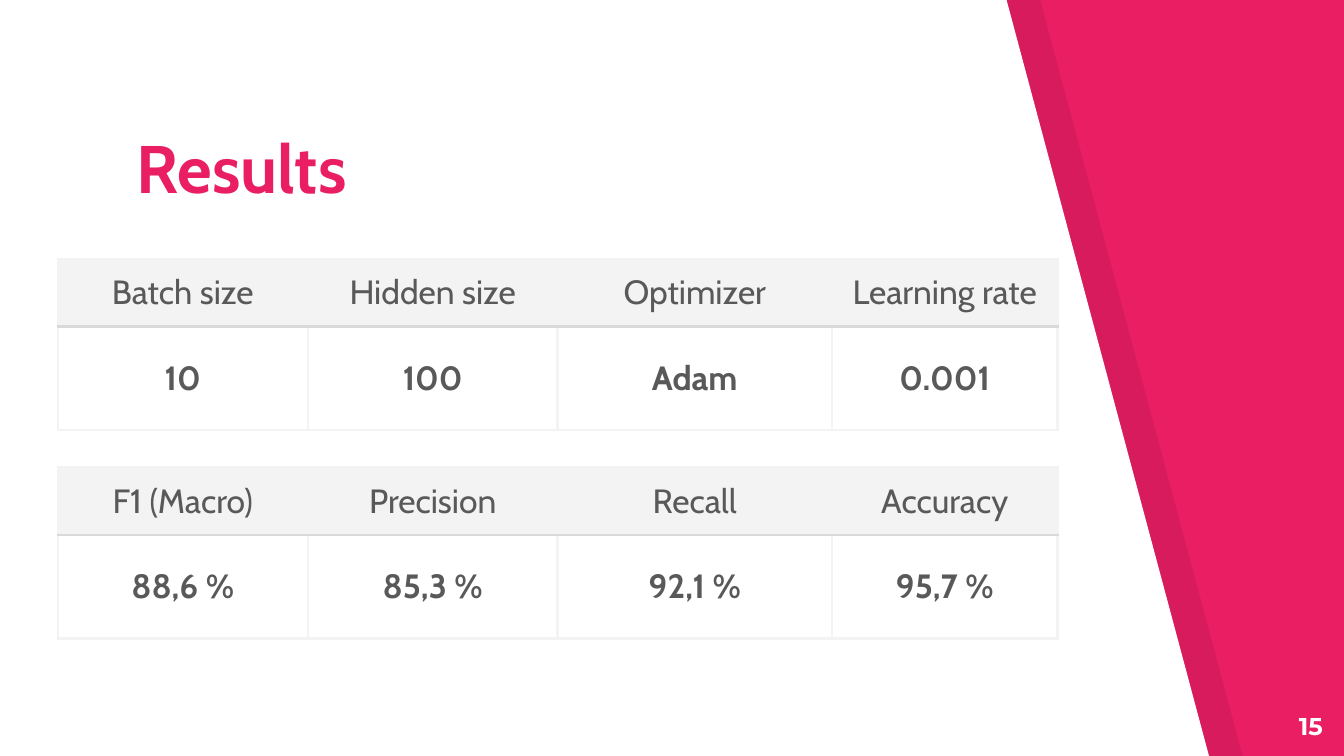
import pptx
import pptx.util
import pptx.dml.color
import pptx.enum.text
import pptx.oxml.ns
import lxml.etree

Inches = pptx.util.Inches
Pt = pptx.util.Pt
PP_ALIGN = pptx.enum.text.PP_ALIGN
MSO_ANCHOR = pptx.enum.text.MSO_ANCHOR

COLORS = {
    "pink": "E91E63",
    "white": "FFFFFF",
    "black": "000000",
    "text": "595959",
    "light": "F3F3F3",
    "rule": "D9D9D9",
}


def add_run(paragraph, text, size, color, font="Cabin", bold=False):
    run = paragraph.add_run()
    run.text = text
    run.font.name = font
    run.font.size = Pt(size)
    run.font.bold = bold
    run.font.color.rgb = pptx.dml.color.RGBColor.from_string(COLORS[color])


def add_border(cell, side, color):
    properties = cell._tc.get_or_add_tcPr()
    line = lxml.etree.SubElement(properties, pptx.oxml.ns.qn("a:ln" + side), w=str(Pt(1.5)))
    fill = lxml.etree.SubElement(line, pptx.oxml.ns.qn("a:solidFill"))
    lxml.etree.SubElement(fill, pptx.oxml.ns.qn("a:srgbClr"), val=COLORS[color])


# Widescreen slide, 16:9
presentation = pptx.Presentation()
presentation.slide_width = Inches(10)
presentation.slide_height = Inches(10 * 9 / 16)
slide = presentation.slides.add_slide(presentation.slide_layouts[6])

# Background
background = slide.background.fill
background.solid()
background.fore_color.rgb = pptx.dml.color.RGBColor.from_string(COLORS["pink"])

# Slanted panels: the translucent shade, then the white page
for left, color, opacity in [(0.25, "black", 7), (0, "white", 100)]:
    corners = [(0, -0.01), (0, 5.64), (9, 5.64), (7.49, 0)]
    points = [(Inches(left + x), Inches(y)) for x, y in corners]
    builder = slide.shapes.build_freeform(*points[0])
    builder.add_line_segments(points[1:], close=True)
    panel = builder.convert_to_shape()
    panel.shadow.inherit = False
    panel.line.fill.background()
    panel.fill.solid()
    panel.fill.fore_color.rgb = pptx.dml.color.RGBColor.from_string(COLORS[color])
    if opacity < 100:
        fill_color = panel._element.spPr.find(".//" + pptx.oxml.ns.qn("a:srgbClr"))
        lxml.etree.SubElement(fill_color, pptx.oxml.ns.qn("a:alpha"), val=str(opacity * 1000))

# Slide number and title
labels = [
    ("15", (9.34, 5.19, 0.6, 0.43), 13, "white", "Montserrat", PP_ALIGN.RIGHT, MSO_ANCHOR.TOP),
    ("Results", (0.92, 1.11, 6.44, 0.53), 36, "pink", "Cabin", PP_ALIGN.LEFT, MSO_ANCHOR.BOTTOM),
]
for text, box, size, color, font, alignment, anchor in labels:
    frame = slide.shapes.add_textbox(*[Inches(length) for length in box]).text_frame
    frame.word_wrap = True
    frame.vertical_anchor = anchor
    frame.margin_left = frame.margin_right = Inches(0.1)
    frame.margin_top = frame.margin_bottom = Inches(0.1)
    paragraph = frame.paragraphs[0]
    paragraph.alignment = alignment
    add_run(paragraph, text, size, color, font, bold=True)

# Tables: settings above, scores below
column_widths = [1.86, 1.86, 2.04, 1.68]
row_heights = [0.5, 0.77]
tables = [
    (1.93, [["Batch size", "Hidden size", "Optimizer", "Learning rate"],
            ["10", "100", "Adam", "0.001"]]),
    (3.48, [["F1 (Macro)", "Precision", "Recall", "Accuracy"],
            ["88,6 %", "85,3 %", "92,1 %", "95,7 %"]]),
]
for top, rows in tables:
    table = slide.shapes.add_table(
        len(rows), len(column_widths), Inches(0.43), Inches(top),
        Inches(sum(column_widths)), Inches(sum(row_heights))).table
    table.first_row = False
    table.horz_banding = False
    for column, width in zip(table.columns, column_widths):
        column.width = Inches(width)
    for row_index, texts in enumerate(rows):
        table.rows[row_index].height = Inches(row_heights[row_index])
        is_header = row_index == 0
        for column_index, text in enumerate(texts):
            cell = table.cell(row_index, column_index)
            cell.vertical_anchor = MSO_ANCHOR.MIDDLE
            cell.margin_left = cell.margin_right = Inches(0.1)
            cell.margin_top = cell.margin_bottom = Inches(0.07)
            paragraph = cell.text_frame.paragraphs[0]
            paragraph.alignment = PP_ALIGN.CENTER
            add_run(paragraph, text, 18, "text", bold=not is_header)
            # The darker rule lies between header and values
            rule_side = "B" if is_header else "T"
            for side in "LRTB":
                add_border(cell, side, "rule" if side == rule_side else "light")
            if is_header:
                cell.fill.solid()
                cell.fill.fore_color.rgb = pptx.dml.color.RGBColor.from_string(COLORS["light"])
            else:
                cell.fill.background()

presentation.save("out.pptx")
